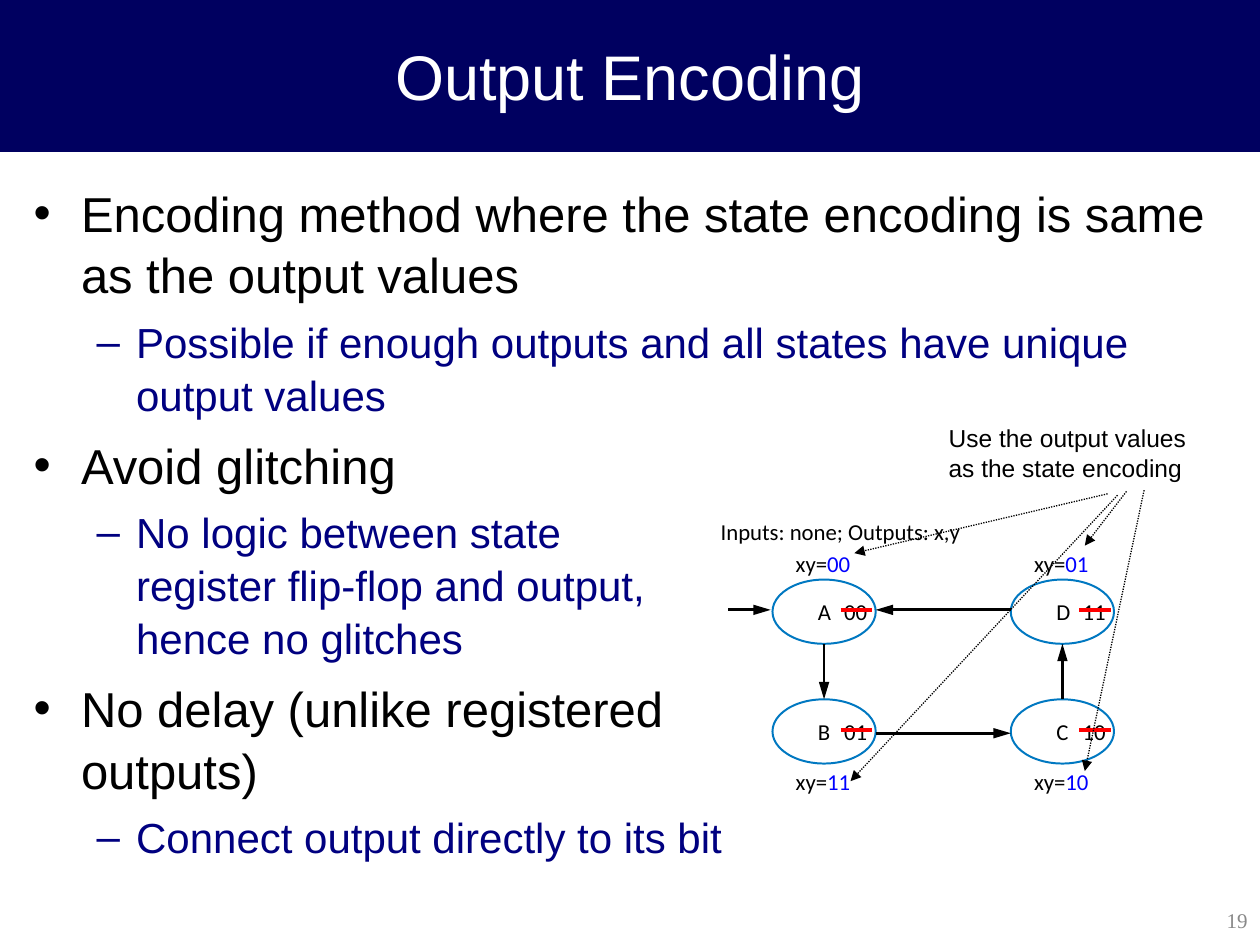
from lxml import etree
from pptx import Presentation
from pptx.dml.color import RGBColor
from pptx.enum.dml import MSO_LINE
from pptx.enum.shapes import MSO_CONNECTOR, MSO_SHAPE
from pptx.enum.text import MSO_ANCHOR, PP_ALIGN
from pptx.oxml.ns import qn
from pptx.util import Pt

RECT, OVAL = MSO_SHAPE.RECTANGLE, MSO_SHAPE.OVAL
STRAIGHT = MSO_CONNECTOR.STRAIGHT
DOTTED = MSO_LINE.ROUND_DOT
MIDDLE, TOP = MSO_ANCHOR.MIDDLE, MSO_ANCHOR.TOP
LEFT, CENTER, RIGHT = PP_ALIGN.LEFT, PP_ALIGN.CENTER, PP_ALIGN.RIGHT

BLACK = RGBColor(0, 0, 0)
WHITE = RGBColor(0xFF, 0xFF, 0xFF)
BANNER = RGBColor(0, 0, 0x60)
NAVY = RGBColor(0, 0, 0x80)
BLUE = RGBColor(0, 0, 0xFF)
RED = RGBColor(0xFF, 0, 0)
RING = RGBColor(0, 0x78, 0xC1)
GRAY = RGBColor(0x89, 0x89, 0x89)

INSET = (7.2, 3.6)
LABEL = {"name": "Calibri", "size": Pt(13)}

# Per level: left margin, hanging indent, space before, bullet, run format
LEVELS = [
    (27, -27, 7, "•", {"name": "Arial", "size": Pt(28), "color": BLACK}),
    (58.5, -22.5, 6, "–", {"name": "Arial", "size": Pt(24), "color": NAVY}),
]
BULLETS = [
    (0, "Encoding method where the state encoding is same as the output values"),
    (1, "Possible if enough outputs and all states have unique output values"),
    (0, "Avoid glitching"),
    (1, "No logic between state \nregister flip-flop and output, \nhence no glitches"),
    (0, "No delay (unlike registered \noutputs)"),
    (1, "Connect output directly to its bit"),
]

# State diagram grid
STATE_W, STATE_H = 59, 36.7
COL_X = (441.4, 577.6)
ROW_Y = (331.2, 399.6)
OUTPUT_Y = (314, 438.5)
# State name, column, row, replaced code, output value
STATES = [("A", 0, 0, "00", "00"), ("B", 0, 1, "01", "11"),
          ("C", 1, 1, "10", "10"), ("D", 1, 0, "11", "01")]


def set_format(font, fmt):
    for key, value in fmt.items():
        if key == "color":
            font.color.rgb = value
        else:
            setattr(font, key, value)


class SlideBuilder:
    def __init__(self, slide):
        self.s = slide

    def shape(self, kind, x, y, w, h, line, width, fill=None):
        sp = self.s.shapes.add_shape(kind, Pt(x), Pt(y), Pt(w), Pt(h))
        sp.shadow.inherit = False
        if fill is None:
            sp.fill.background()
        else:
            sp.fill.solid()
            sp.fill.fore_color.rgb = fill
        sp.line.color.rgb = line
        sp.line.width = Pt(width)

    def frame(self, x, y, w, h, inset=(0, 0), anchor=TOP, wrap=True):
        tf = self.s.shapes.add_textbox(Pt(x), Pt(y), Pt(w), Pt(h)).text_frame
        tf.margin_left = tf.margin_right = Pt(inset[0])
        tf.margin_top = tf.margin_bottom = Pt(inset[1])
        tf.vertical_anchor = anchor
        tf.word_wrap = wrap
        return tf

    def text(self, x, y, w, h, runs, align=LEFT, **frame_options):
        """Add one paragraph from (text, format) runs."""
        p = self.frame(x, y, w, h, **frame_options).paragraphs[0]
        p.alignment = align
        for text, fmt in runs:
            r = p.add_run()
            r.text = text
            set_format(r.font, fmt)

    def label(self, x, y, w, *parts):
        """Add an unwrapped diagram label from (text, colour) parts."""
        runs = [(text, {**LABEL, "color": color}) for text, color in parts]
        self.text(x, y, w, 15.8, runs, wrap=False)

    def bullets(self, x, y, w, h, items):
        tf = self.frame(x, y, w, h, inset=INSET)
        for i, (level, text) in enumerate(items):
            margin, indent, before, mark, fmt = LEVELS[level]
            p = tf.add_paragraph() if i else tf.paragraphs[0]
            p.text = text
            p.level = level
            p.line_spacing = 1.05
            if i:
                p.space_before = Pt(before)
            pPr = p._p.get_or_add_pPr()
            pPr.set("marL", str(Pt(margin)))
            pPr.set("indent", str(Pt(indent)))
            etree.SubElement(pPr, qn("a:buFont"), typeface="Arial")
            etree.SubElement(pPr, qn("a:buChar"), char=mark)
            for r in p.runs:
                set_format(r.font, fmt)

    def line(self, x1, y1, x2, y2, color=BLACK, width=1.62, head=None, dash=None):
        """Add a straight line; head is the arrowhead length, if any."""
        c = self.s.shapes.add_connector(STRAIGHT, Pt(x1), Pt(y1), Pt(x2), Pt(y2))
        c.line.color.rgb = color
        c.line.width = Pt(width)
        if dash:
            c.line.dash_style = dash
        if head:
            etree.SubElement(c.line._get_or_add_ln(), qn("a:tailEnd"),
                             type="triangle", w="med", len=head)
        etree.SubElement(c._element.spPr, qn("a:effectLst"))

    def state(self, name, col, row, code, output):
        x, y = COL_X[col], ROW_Y[row]
        self.shape(OVAL, x, y, STATE_W, STATE_H, RING, 1.13)
        self.label(x + 26, y + 10.6, 9, (name, BLACK))
        self.label(x + 41, y + 10.6, 15, (code, BLACK))
        self.line(x + 39, y + 17.3, x + 57, y + 17.3, RED, 2.25)
        self.label(x + 13.3, OUTPUT_Y[row], 35, ("xy=", BLACK), (output, BLUE))


def main():
    prs = Presentation()
    prs.slide_width, prs.slide_height = Pt(720), Pt(540)
    b = SlideBuilder(prs.slides.add_slide(prs.slide_layouts[6]))

    b.shape(RECT, 0, 0, 720, 86.4, BANNER, 0.75, BANNER)
    b.text(0, 0, 720, 86.4,
           [("Output Encoding", {"name": "Arial", "size": Pt(36), "color": WHITE})],
           CENTER, inset=INSET, anchor=MIDDLE)
    b.bullets(12.2, 99.4, 695.6, 411.8, BULLETS)
    b.text(567.4, 511.2, 152.6, 28.8,
           [("19", {"name": "Times New Roman", "size": Pt(12), "color": GRAY})],
           RIGHT, inset=INSET, anchor=MIDDLE)

    b.label(411.8, 296, 157.7, ("Inputs: none; Outputs: x,y", BLACK))
    for state in STATES:
        b.state(*state)

    left, right = COL_X
    top_y, bottom_y = ROW_Y[0] + 17.3, ROW_Y[1] + 19.4
    left_mid, right_mid = (x + STATE_W / 2 for x in COL_X)
    upper_edge, lower_edge = ROW_Y[0] + STATE_H, ROW_Y[1]
    for ends in [(416.2, top_y, left - 1, top_y),
                 (left_mid, upper_edge, left_mid, lower_edge),
                 (left + STATE_W, bottom_y, right, bottom_y),
                 (right_mid, lower_edge, right_mid, upper_edge),
                 (right, top_y, left + STATE_W, top_y)]:
        b.line(*ends, head="lg")

    b.text(535, 238.3, 160.6, 41,
           [("Use the output values as the state encoding",
             {"name": "Arial", "size": Pt(14), "color": BLACK})], inset=INSET)
    for ends in [(643.7, 280.8, 619.9, 311.8), (632.9, 282.2, 488.2, 316.1),
                 (638.6, 283, 486, 446.4), (653.8, 280.1, 619.9, 440.6)]:
        b.line(*ends, width=0.75, head="med", dash=DOTTED)

    prs.save("out.pptx")


if __name__ == "__main__":
    main()
